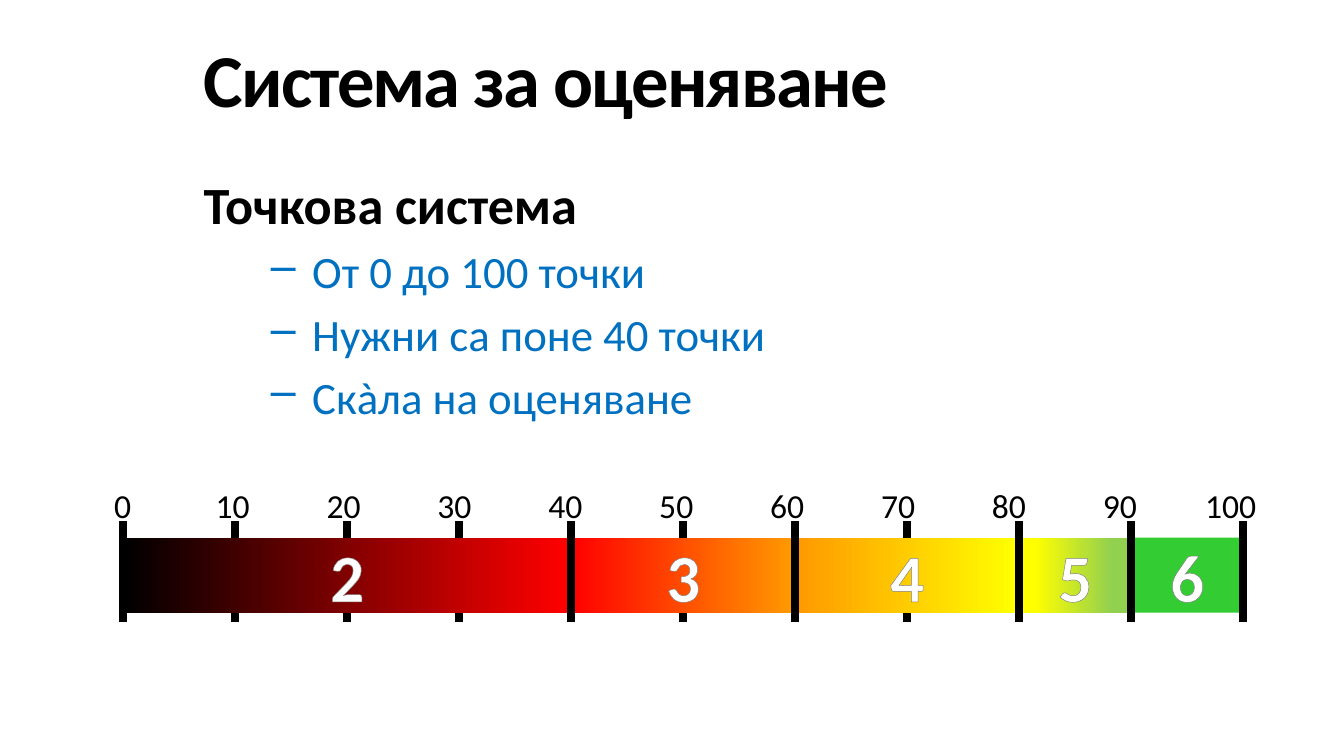
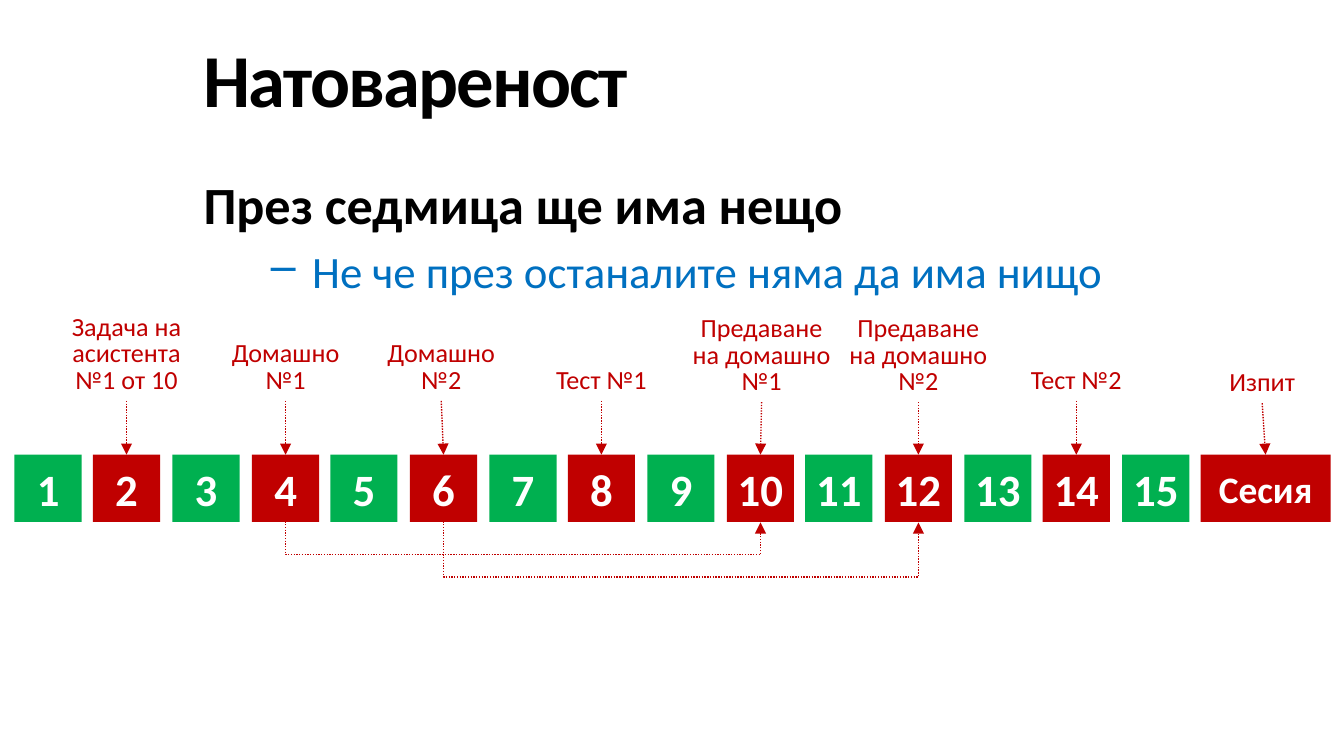
"""Build two course slides: the grading scale and the weekly workload."""
from dataclasses import dataclass
from typing import Optional

from lxml import etree
from pptx import Presentation
from pptx.dml.color import RGBColor
from pptx.enum.dml import MSO_LINE
from pptx.enum.shapes import MSO_CONNECTOR, MSO_SHAPE
from pptx.enum.text import MSO_ANCHOR, MSO_AUTO_SIZE, PP_ALIGN
from pptx.oxml.ns import qn
from pptx.util import Emu, Pt

RECTANGLE = MSO_SHAPE.RECTANGLE
STRAIGHT = MSO_CONNECTOR.STRAIGHT
ELBOW = MSO_CONNECTOR.ELBOW
DOTTED = MSO_LINE.ROUND_DOT
LEFT = PP_ALIGN.LEFT
CENTER = PP_ALIGN.CENTER
MIDDLE = MSO_ANCHOR.MIDDLE
BOTTOM = MSO_ANCHOR.BOTTOM
NO_AUTOFIT = MSO_AUTO_SIZE.NONE
GROW = MSO_AUTO_SIZE.SHAPE_TO_FIT_TEXT

BLACK = RGBColor(0x00, 0x00, 0x00)
WHITE = RGBColor(0xFF, 0xFF, 0xFF)
GRAY = RGBColor(0x80, 0x80, 0x80)
BLUE = RGBColor(0x00, 0x70, 0xC0)
RED = RGBColor(0xFF, 0x00, 0x00)
ORANGE = RGBColor(0xFF, 0x99, 0x00)
YELLOW = RGBColor(0xFF, 0xFF, 0x00)
LIME = RGBColor(0x92, 0xD0, 0x50)
BRIGHT_GREEN = RGBColor(0x33, 0xCC, 0x33)
FREE_GREEN = RGBColor(0x00, 0xB0, 0x50)
BUSY_RED = RGBColor(0xC0, 0x00, 0x00)

FONT = "Calibri"
TITLE_ONLY = 5
TOP_SIDE, BOTTOM_SIDE = 0, 2

SCALE_LEFT = 110
POINT_WIDTH = 10
TICK_TOP, TICK_BOTTOM = 465, 555
BAR_TOP, BAR_HEIGHT = 480, 67
LABEL_START, LABEL_PITCH = 7, 99

WEEK_COUNT = 15
WEEK_LEFT, WEEK_TOP, WEEK_SIZE = 13, 406, 60
THREE_WEEKS = 212
SESSION_LEFT, SESSION_WIDTH = 1072, 116
EVENT_WIDTH, EVENT_HEIGHT = 114, 70


@dataclass(frozen=True)
class Grade:
    text: str
    start: int
    end: int
    first: RGBColor
    last: Optional[RGBColor] = None
    first_stop: float = 0
    last_stop: float = 0.99


@dataclass(frozen=True)
class Event:
    text: str
    week: int
    left: int
    top: int = 288


@dataclass(frozen=True)
class Deadline:
    given: int
    due: int
    depth: int


GRADES = (
    Grade("2", 0, 40, BLACK, RED),
    Grade("3", 40, 60, RED, ORANGE),
    Grade("4", 60, 80, ORANGE, YELLOW),
    Grade("5", 80, 90, YELLOW, LIME, 0.14, 0.83),
    Grade("6", 90, 100, BRIGHT_GREEN),
)
SESSION = WEEK_COUNT + 1
EVENTS = (
    Event("Домашно\v№1", 4, 198),
    Event("Домашно\n№2", 6, 337),
    Event("Тест №1", 8, 480),
    Event("Тест №2", 14, 904),
    Event("Задача на\vасистента\v№1 от 10", 2, 56),
    Event("Предаване\vна домашно\v№1", 10, 623, 289),
    Event("Предаване\vна домашно\n№2", 12, 763, 289),
    Event("Изпит", SESSION, 1070, 290),
)
DEADLINES = (Deadline(6, 12, 50), Deadline(4, 10, 30))


def px(length: float) -> Emu:
    return Emu(round(length * 7620))


def box(left: int, top: int, width: int, height: int) -> tuple:
    return px(left), px(top), px(width), px(height)


def add_xml(parent, tag: str, **attributes: str):
    return etree.SubElement(parent, qn(tag), attributes)


def style(paragraph, size: int, color: RGBColor, bold=False, align=LEFT) -> None:
    paragraph.alignment = align
    font = paragraph.font
    font.name, font.size, font.bold = FONT, Pt(size), bold
    font.color.rgb = color


def add_heading(slide, title: str, topic: str, points: tuple) -> None:
    shape = slide.shapes.title
    shape.left, shape.top, shape.width, shape.height = box(170, 18, 1030, 102)
    frame = shape.text_frame
    frame.text = title
    frame.auto_size = NO_AUTOFIT
    frame.vertical_anchor = MIDDLE
    style(frame.paragraphs[0], 40, BLACK, True)
    frame.paragraphs[0].font._element.set("spc", "-100")

    body = slide.shapes.add_textbox(*box(170, 148, 1030, 490)).text_frame
    body.word_wrap = True
    body.text = "\n".join((topic, *points))
    heading, *items = body.paragraphs
    style(heading, 28, BLACK, True)
    heading.space_before = Pt(5.6)
    for item in items:
        item.level = 1
        properties = item._p.get_or_add_pPr()
        properties.set("marL", str(px(97)))
        properties.set("indent", str(px(-37)))
        add_xml(add_xml(properties, "a:buClr"), "a:srgbClr", val=str(BLUE))
        add_xml(properties, "a:buChar", char="–")
        style(item, 24, BLUE)
        item.space_before = Pt(4.8)


def add_block(slide, area: tuple, text: str, size: int):
    shape = slide.shapes.add_shape(RECTANGLE, *area)
    shape.shadow.inherit = False
    shape.line.fill.background()
    frame = shape.text_frame
    frame.text = text
    frame.vertical_anchor = MIDDLE
    style(frame.paragraphs[0], size, WHITE, True, CENTER)
    return shape


def add_line(slide, kind, ends: tuple, color: RGBColor, width: float):
    connector = slide.shapes.add_connector(kind, *ends)
    connector.line.color.rgb = color
    connector.line.width = Pt(width)
    add_xml(connector._element.spPr, "a:effectLst")
    return connector


def add_arrow(slide, kind, ends: tuple):
    connector = add_line(slide, kind, ends, BUSY_RED, 0.75)
    connector.line.dash_style = DOTTED
    add_xml(connector._element.spPr.find(qn("a:ln")), "a:tailEnd", type="triangle")
    return connector


def add_tick(slide, points: int) -> None:
    x = SCALE_LEFT + points * POINT_WIDTH
    add_line(slide, STRAIGHT, (px(x), px(TICK_TOP), px(x), px(TICK_BOTTOM)), BLACK, 4.5)


def add_grade(slide, grade: Grade) -> None:
    left = SCALE_LEFT + grade.start * POINT_WIDTH
    width = (grade.end - grade.start) * POINT_WIDTH
    shape = add_block(slide, box(left, BAR_TOP, width, BAR_HEIGHT), grade.text, 36)
    if grade.last is None:
        shape.fill.solid()
        shape.fill.fore_color.rgb = grade.first
    else:
        shape.fill.gradient()
        shape.fill.gradient_angle = 0
        first, last = shape.fill.gradient_stops
        first.color.rgb, first.position = grade.first, grade.first_stop
        last.color.rgb, last.position = grade.last, grade.last_stop
    outline = etree.Element(qn("a:ln"), w=str(Pt(0.75)))
    add_xml(add_xml(outline, "a:solidFill"), "a:srgbClr", val=str(GRAY))
    shape.text_frame.paragraphs[0].font._element.insert(0, outline)


def add_scale_labels(slide) -> None:
    frame = slide.shapes.add_textbox(*box(90, 427, 1060, 48)).text_frame
    frame.word_wrap = True
    frame.auto_size = GROW
    frame.text = "\t".join(str(points) for points in range(0, 101, 10))
    paragraph = frame.paragraphs[0]
    tabs = add_xml(paragraph._p.get_or_add_pPr(), "a:tabLst")
    for step in range(1, 11):
        position = px(LABEL_START + step * LABEL_PITCH)
        add_xml(tabs, "a:tab", pos=str(position), algn="ctr")
    style(paragraph, 18, BLACK)


def add_week(slide, number: int):
    if number == SESSION:
        left, width, text, size = SESSION_LEFT, SESSION_WIDTH, "Сесия", 20
    else:
        left = WEEK_LEFT + (number - 1) * THREE_WEEKS // 3
        width, text, size = WEEK_SIZE, str(number), 24
    shape = add_block(slide, box(left, WEEK_TOP, width, WEEK_SIZE), text, size)
    shape.text_frame.margin_left = shape.text_frame.margin_right = 0
    shape.fill.solid()
    shape.fill.fore_color.rgb = FREE_GREEN if number % 2 else BUSY_RED
    return shape


def add_event(slide, event: Event, week) -> None:
    label = slide.shapes.add_textbox(*box(event.left, event.top, EVENT_WIDTH, EVENT_HEIGHT))
    frame = label.text_frame
    frame.word_wrap = False
    frame.auto_size = NO_AUTOFIT
    frame.vertical_anchor = BOTTOM
    frame.margin_top = px(12)
    frame.text = event.text
    for paragraph in frame.paragraphs:
        style(paragraph, 14, BUSY_RED, align=CENTER)
        paragraph.line_spacing = Pt(14)
    arrow = add_arrow(slide, STRAIGHT, (0, 0, 0, 0))
    arrow.begin_connect(label, BOTTOM_SIDE)
    arrow.end_connect(week, TOP_SIDE)


def add_deadline(slide, deadline: Deadline, given, due) -> None:
    span = due.left - given.left
    thickness = px(1)
    left = given.left + (given.width + span - thickness) // 2
    top = given.top + given.height - span // 2
    arrow = add_arrow(slide, ELBOW, (left, top, left + thickness, top + span))
    properties = arrow._element.spPr
    transform = properties.find(qn("a:xfrm"))
    transform.set("rot", str(270 * 60000))
    transform.set("flipH", "1")
    adjustments = properties.find(qn("a:prstGeom")).find(qn("a:avLst"))
    add_xml(adjustments, "a:gd", name="adj1", fmla=f"val {deadline.depth * 100000}")


def build_grading(slide) -> None:
    add_heading(slide, "Система за оценяване", "Точкова система",
                ("От 0 до 100 точки", "Нужни са поне 40 точки", "Скàла на оценяване"))
    borders = [0] + [grade.end for grade in GRADES]
    for points in range(0, 101, 10):
        if points not in borders:
            add_tick(slide, points)
    for grade in GRADES:
        add_grade(slide, grade)
    for points in borders:
        add_tick(slide, points)
    add_scale_labels(slide)


def build_workload(slide) -> None:
    add_heading(slide, "Натовареност", "През седмица ще има нещо",
                ("Не че през останалите няма да има нищо",))
    weeks = {number: add_week(slide, number) for number in range(1, SESSION + 1)}
    for deadline in DEADLINES:
        add_deadline(slide, deadline, weeks[deadline.given], weeks[deadline.due])
    for event in EVENTS:
        add_event(slide, event, weeks[event.week])


def main() -> None:
    presentation = Presentation()
    presentation.slide_width, presentation.slide_height = px(1200), px(675)
    for build in (build_grading, build_workload):
        build(presentation.slides.add_slide(presentation.slide_layouts[TITLE_ONLY]))
    presentation.save("out.pptx")


if __name__ == "__main__":
    main()
